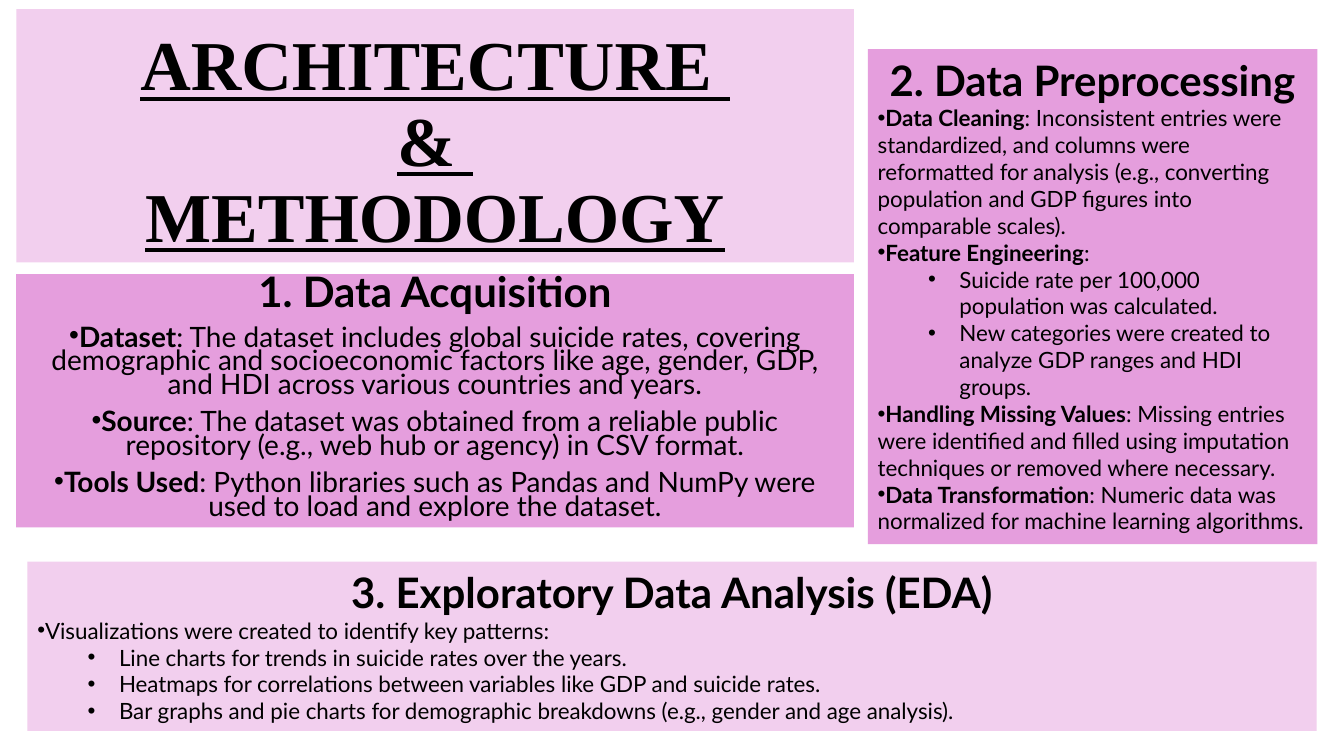
"""Build the architecture and methodology slide."""
import pptx
import pptx.dml.color
import pptx.enum.text
import pptx.oxml.ns
import pptx.util
from lxml import etree
from pptx.util import Cm, Pt

PALE, DEEP, BLACK = "F2CFEE", "E59EDD", "000000"
TITLE = ["ARCHITECTURE ", "& ", "METHODOLOGY"]
TITLE_BOX = (0.41, 0.23, 21.11, 6.38)

PANELS = [
    dict(
        heading="1. Data Acquisition", box=(0.41, 6.91, 21.11, 6.38),
        fill=DEEP, size=20, centred=True, line=0.7, before=10,
        items=[
            (0, "Dataset", ": The dataset includes global suicide rates, covering demographic and "
             "socioeconomic factors like age, gender, GDP, and HDI across various countries and years."),
            (0, "Source", ": The dataset was obtained from a reliable public repository "
             "(e.g., web hub or agency) in CSV format."),
            (0, "Tools Used", ": Python libraries such as Pandas and NumPy were used to load "
             "and explore the dataset."),
        ]),
    dict(
        heading="2. Data Preprocessing", box=(21.87, 1.24, 11.33, 12.47),
        fill=DEEP, size=16, centred=False, line=1.0, before=0,
        items=[
            (0, "Data Cleaning", ": Inconsistent entries were standardized, and columns were reformatted "
             "for analysis (e.g., converting population and GDP figures into comparable scales)."),
            (0, "Feature Engineering", ":"),
            (1, "", "Suicide rate per 100,000 population was calculated."),
            (1, "", "New categories were created to analyze GDP ranges and HDI groups."),
            (0, "Handling Missing Values", ": Missing entries were identified and filled using "
             "imputation techniques or removed where necessary."),
            (0, "Data Transformation", ": Numeric data was normalized for machine learning algorithms."),
        ]),
    dict(
        heading="3. Exploratory Data Analysis (EDA)", box=(0.69, 14.15, 32.49, 4.27),
        fill=PALE, size=16, centred=False, line=1.0, before=0,
        items=[
            (0, "", "Visualizations were created to identify key patterns:"),
            (1, "", "Line charts for trends in suicide rates over the years."),
            (1, "", "Heatmaps for correlations between variables like GDP and suicide rates."),
            (1, "", "Bar graphs and pie charts for demographic breakdowns "
             "(e.g., gender and age analysis)."),
        ]),
]


def rgb(value):
    return pptx.dml.color.RGBColor.from_string(value)


def fill_shape(sp, value):
    sp.fill.solid()
    sp.fill.fore_color.rgb = rgb(value)


def add_run(p, text, size, bold, font="Lato"):
    r = p.add_run()
    r.text = text
    r.font.name = font
    r.font.size = Pt(size)
    r.font.bold = bold
    r.font.color.rgb = rgb(BLACK)
    return r


def add_bullet(p, level):
    p.level = level
    pPr = p._p.get_or_add_pPr()
    pPr.set("marL", str(Cm(2.06) if level else 0))
    pPr.set("indent", str(Cm(-0.79) if level else 0))
    for tag, key, value in (("a:buFont", "typeface", "Arial"), ("a:buChar", "char", "•")):
        etree.SubElement(pPr, pptx.oxml.ns.qn(tag)).set(key, value)


def add_title(s):
    sp = s.shapes.title
    sp.left, sp.top, sp.width, sp.height = map(Cm, TITLE_BOX)
    fill_shape(sp, PALE)
    tf = sp.text_frame
    tf.word_wrap = True
    tf.auto_size = pptx.enum.text.MSO_AUTO_SIZE.NONE
    tf.vertical_anchor = pptx.enum.text.MSO_ANCHOR.BOTTOM
    p = tf.paragraphs[0]
    p.alignment = pptx.enum.text.PP_ALIGN.CENTER
    p.line_spacing = 0.9
    for i, text in enumerate(TITLE):
        if i:
            p.add_line_break()
        add_run(p, text, 50, True, "Times New Roman").font.underline = True


def add_panel(s, panel):
    align = pptx.enum.text.PP_ALIGN
    sp = s.shapes.add_textbox(*map(Cm, panel["box"]))
    fill_shape(sp, panel["fill"])
    tf = sp.text_frame
    tf.word_wrap = True
    p = tf.paragraphs[0]
    p.alignment = align.CENTER
    p.line_spacing = panel["line"]
    add_run(p, panel["heading"], 30, True)
    for level, lead, text in panel["items"]:
        p = tf.add_paragraph()
        add_bullet(p, level)
        p.alignment = align.CENTER if panel["centred"] else align.LEFT
        p.line_spacing = panel["line"]
        p.space_before = Pt(panel["before"])
        if lead:
            add_run(p, lead, panel["size"], True)
        add_run(p, text, panel["size"], False)


def main():
    prs = pptx.Presentation()
    prs.slide_width, prs.slide_height = Cm(33.87), Cm(19.05)
    s = prs.slides.add_slide(prs.slide_layouts[5])
    add_title(s)
    for panel in PANELS:
        add_panel(s, panel)
    prs.save("out.pptx")


if __name__ == "__main__":
    main()
